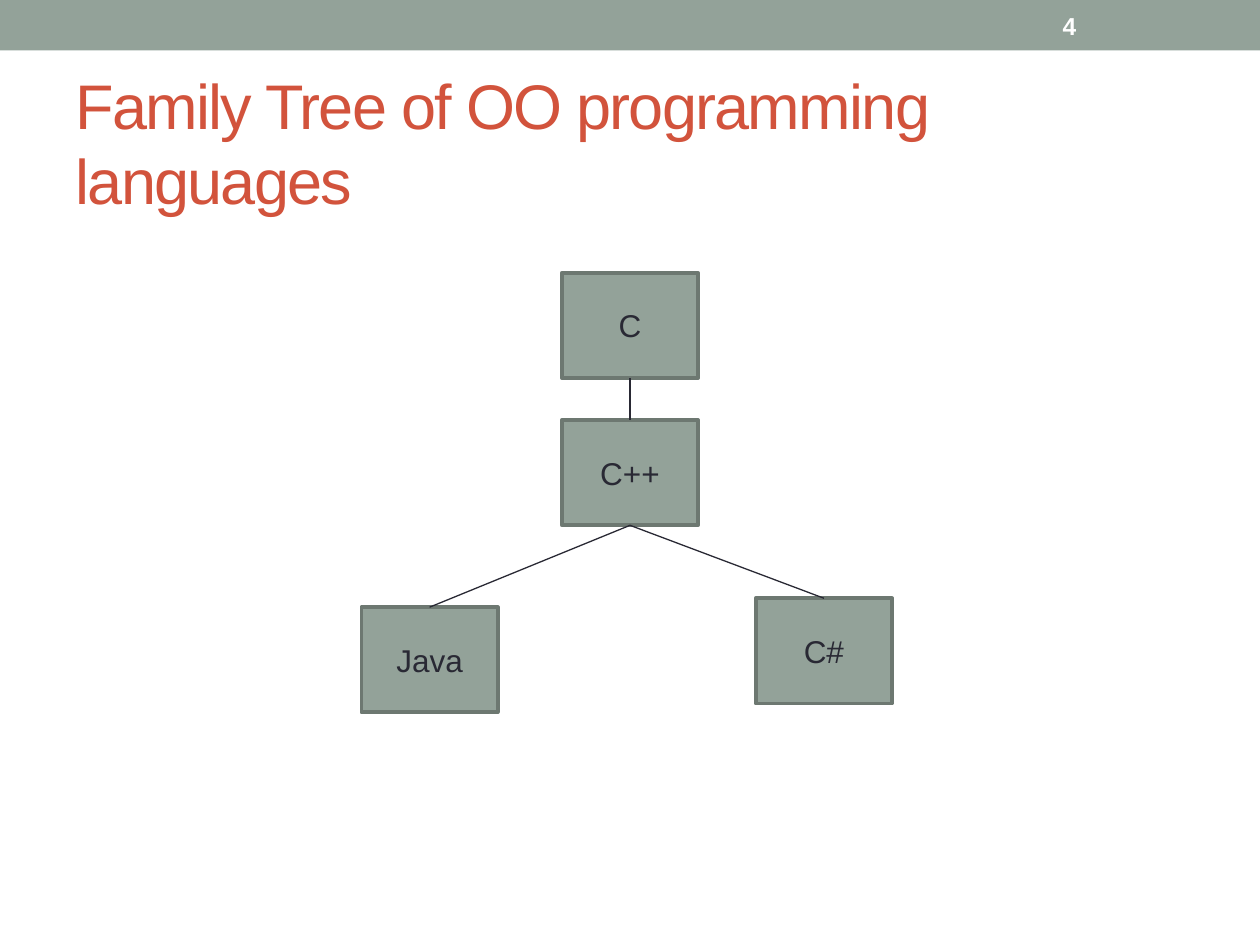
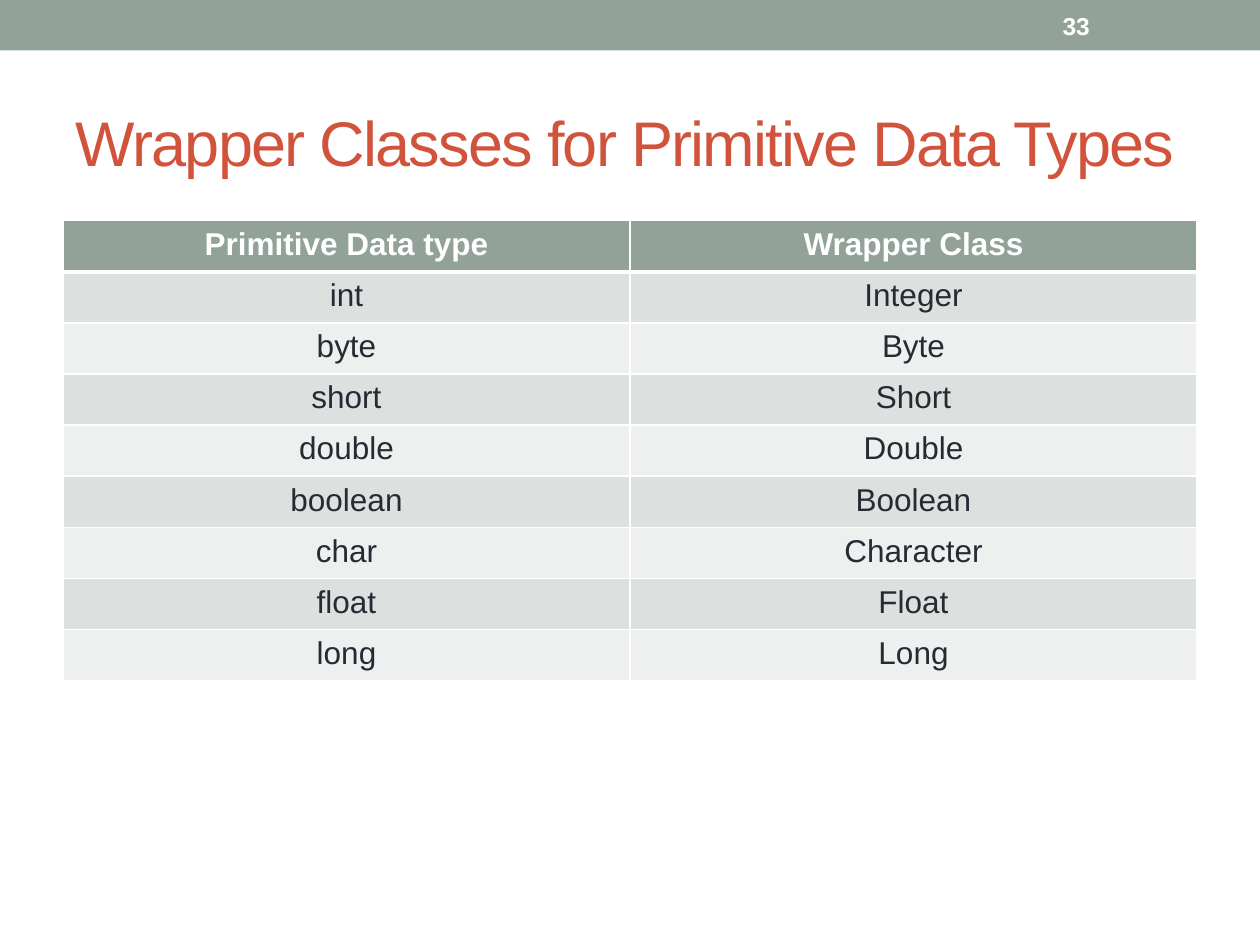
from dataclasses import dataclass

import lxml.etree
import pptx
import pptx.dml.color
import pptx.enum.shapes
import pptx.enum.text
import pptx.oxml.ns
import pptx.util

Cm = pptx.util.Cm
Pt = pptx.util.Pt
RGBColor = pptx.dml.color.RGBColor
ALIGN = pptx.enum.text.PP_ALIGN
MIDDLE = pptx.enum.text.MSO_ANCHOR.MIDDLE
RECT = pptx.enum.shapes.MSO_SHAPE.RECTANGLE
qn = pptx.oxml.ns.qn

# Shared look
SAGE = RGBColor(0x93, 0xA2, 0x99)
EDGE = RGBColor(0x6D, 0x78, 0x71)
INK = RGBColor(0x29, 0x29, 0x34)
RUST = RGBColor(0xD2, 0x53, 0x3C)
WHITE = RGBColor(0xFF, 0xFF, 0xFF)
BANDS = (RGBColor(0xDC, 0xE0, 0xDE), RGBColor(0xEE, 0xF0, 0xEF))
FONT = "Arial"
WIDTH, HEIGHT = Cm(25.4), Cm(19.05)
MARGIN, INNER = Cm(1.27), Cm(22.86)


@dataclass(frozen=True)
class Style:
    size: float
    color: RGBColor
    bold: bool = False
    align: ALIGN = ALIGN.CENTER
    space: int = 0  # letter spacing, hundredths of a point


TITLE = Style(36, RUST, align=ALIGN.LEFT, space=-100)
NUMBER = Style(14, WHITE, bold=True, align=ALIGN.LEFT)
LABEL = Style(18, INK)
HEADER = Style(18, WHITE, bold=True)


@dataclass(frozen=True)
class Node:
    name: str
    center: float  # cm
    top: float  # cm
    parent: str = ""


NODES = (
    Node("C", 12.7, 5.5),
    Node("C++", 12.7, 8.47, "C"),
    Node("Java", 8.66, 12.24, "C++"),
    Node("C#", 16.61, 12.06, "C++"),
)
NODE_W, NODE_H = Cm(2.75), Cm(2.12)
BOTTOM, TOP = 2, 0  # connection sites of a rectangle

ROWS = (
    ("Primitive Data type", "Wrapper Class"),
    ("int", "Integer"),
    ("byte", "Byte"),
    ("short", "Short"),
    ("double", "Double"),
    ("boolean", "Boolean"),
    ("char", "Character"),
    ("float", "Float"),
    ("long", "Long"),
)


def write(frame, text: str, style: Style) -> None:
    """Put one styled run in the first paragraph of a frame."""
    para = frame.paragraphs[0]
    para.alignment = style.align
    run = para.add_run()
    run.text = text
    run.font.name = FONT
    run.font.size = Pt(style.size)
    run.font.bold = style.bold
    run.font.color.rgb = style.color
    if style.space:
        run.font._element.set("spc", str(style.space))


def add_box(slide, left: int, top: int, width: int, height: int):
    """Draw a flat sage rectangle."""
    box = slide.shapes.add_shape(RECT, left, top, width, height)
    box.shadow.inherit = False
    box.fill.solid()
    box.fill.fore_color.rgb = SAGE
    box.line.fill.background()
    return box


def add_slide(deck, title: str, number: int):
    """Start a slide with its band, title and number."""
    slide = deck.slides.add_slide(deck.slide_layouts[5])
    add_box(slide, 0, 0, WIDTH, Cm(1.02))

    head = slide.shapes.title
    head.left, head.top, head.width, head.height = MARGIN, Cm(1.48), INNER, Cm(2.75)
    head.text_frame.auto_size = pptx.enum.text.MSO_AUTO_SIZE.NONE
    head.text_frame.vertical_anchor = MIDDLE
    write(head.text_frame, title, TITLE)

    page = slide.shapes.add_textbox(Cm(21.17), Cm(0.05), Cm(2.96), Cm(0.92))
    page.text_frame.word_wrap = True
    page.text_frame.vertical_anchor = MIDDLE
    write(page.text_frame, str(number), NUMBER)
    return slide


def add_node(slide, node: Node):
    """Draw one language of the tree."""
    box = add_box(slide, Cm(node.center) - NODE_W // 2, Cm(node.top), NODE_W, NODE_H)
    box.line.color.rgb = EDGE
    box.line.width = Pt(2.08)
    box.text_frame.vertical_anchor = MIDDLE
    write(box.text_frame, node.name, LABEL)
    return box


def add_link(slide, upper, lower) -> None:
    """Join the bottom of one box to the top of another."""
    link = slide.shapes.add_connector(
        pptx.enum.shapes.MSO_CONNECTOR.STRAIGHT, 0, 0, 0, 0)
    link.begin_connect(upper, BOTTOM)
    link.end_connect(lower, TOP)
    link.line.color.rgb = INK
    link.line.width = Pt(0.75)
    lxml.etree.SubElement(link._element.spPr, qn("a:effectLst"))


def add_edge(cell, side: str, width: float) -> None:
    """Give a cell one white border."""
    props = cell._tc.get_or_add_tcPr()
    line = lxml.etree.SubElement(props, qn(f"a:ln{side}"), w=str(Pt(width)))
    fill = lxml.etree.SubElement(line, qn("a:solidFill"))
    lxml.etree.SubElement(fill, qn("a:srgbClr"), val=str(WHITE))


def add_grid(slide) -> None:
    """Draw the table of types and their wrappers."""
    row_h = Cm(1.03)
    table = slide.shapes.add_table(
        len(ROWS), len(ROWS[0]), MARGIN, Cm(4.45), INNER, row_h * len(ROWS)).table
    for row, texts in enumerate(ROWS):
        table.rows[row].height = row_h
        # The rule under the header is thicker than the rest.
        edges = {"L": 1, "R": 1, "T": 3 if row == 1 else 1, "B": 3 if row == 0 else 1}
        for col, text in enumerate(texts):
            cell = table.cell(row, col)
            for side, width in edges.items():
                add_edge(cell, side, width)
            cell.fill.solid()
            cell.fill.fore_color.rgb = BANDS[(row - 1) % 2] if row else SAGE
            write(cell.text_frame, text, LABEL if row else HEADER)


def main() -> None:
    deck = pptx.Presentation()
    deck.slide_width, deck.slide_height = WIDTH, HEIGHT

    # Family tree
    tree = add_slide(deck, "Family Tree of OO programming languages", 4)
    boxes = {node.name: add_node(tree, node) for node in NODES}
    for node in NODES:
        if node.parent:
            add_link(tree, boxes[node.parent], boxes[node.name])

    # Wrapper classes
    add_grid(add_slide(deck, "Wrapper Classes for Primitive Data Types", 33))

    deck.save("out.pptx")


if __name__ == "__main__":
    main()
